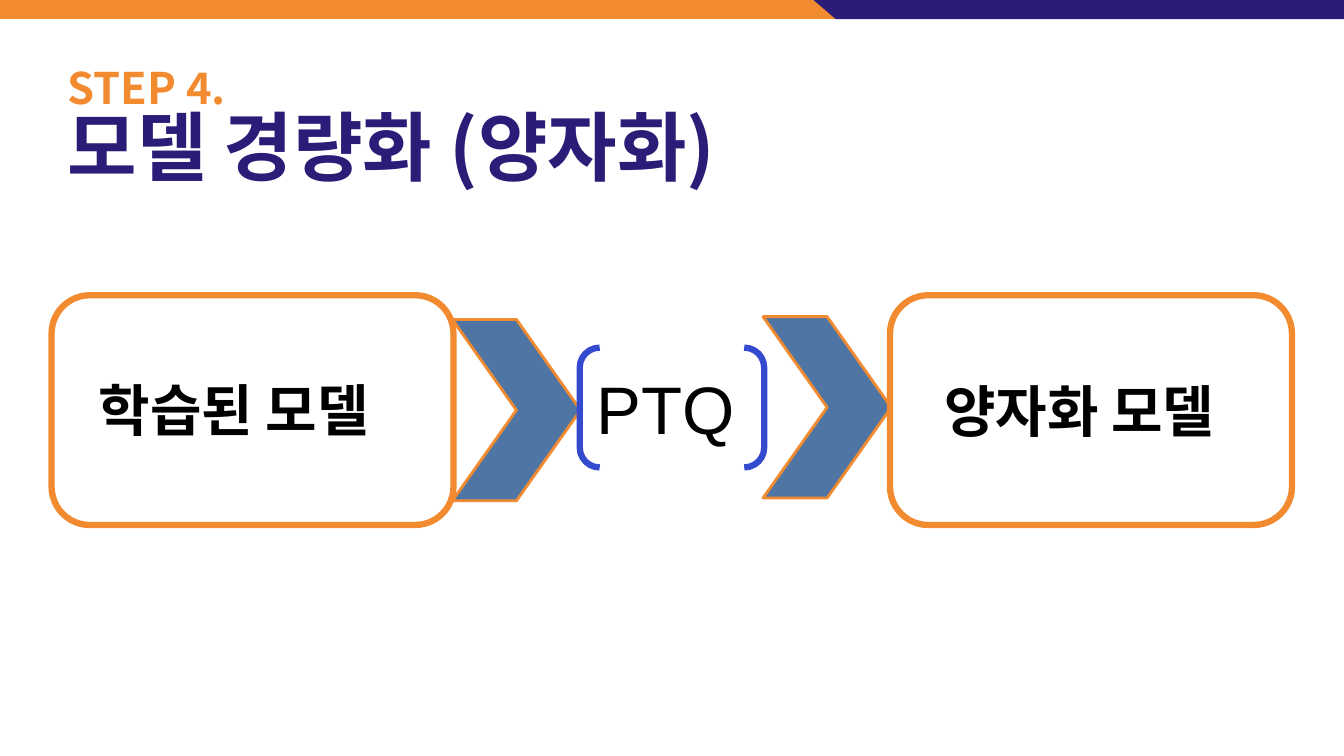
from dataclasses import dataclass
from typing import Optional

from pptx import Presentation
from pptx.dml.color import RGBColor
from pptx.enum.shapes import MSO_SHAPE as Preset
from pptx.enum.text import MSO_ANCHOR as Anchor, MSO_AUTO_SIZE as AutoSize, PP_ALIGN as Align
from pptx.util import Cm, Pt


@dataclass(frozen=True)
class Theme:
    orange: RGBColor = RGBColor(0xF2, 0x8B, 0x30)
    navy: RGBColor = RGBColor(0x29, 0x1D, 0x77)
    steel: RGBColor = RGBColor(0x4E, 0x75, 0xA3)
    blue: RGBColor = RGBColor(0x35, 0x4B, 0xCF)
    white: RGBColor = RGBColor(0xFF, 0xFF, 0xFF)
    black: RGBColor = RGBColor(0, 0, 0)
    title_font: str = "Noto Sans CJK KR"
    body_font: str = "Arial"
    step_size: float = 31
    title_size: float = 54
    model_size: float = 40
    method_size: float = 48
    thin_line: float = 2
    thick_line: float = 4.5


THEME = Theme()
SLIDE_WIDTH, SLIDE_HEIGHT = 33.87, 19.05
BAND_HEIGHT = 0.48


@dataclass(frozen=True)
class Block:
    """A preset shape; lengths in centimetres."""
    preset: Preset
    left: float
    top: float
    width: float
    height: float
    fill: Optional[RGBColor] = None
    line: Optional[RGBColor] = None
    line_width: float = THEME.thick_line


@dataclass(frozen=True)
class Label:
    """A line of text; lengths in centimetres."""
    text: str
    left: float
    top: float
    width: float
    height: float
    size: float = THEME.model_size
    bold: bool = True


def chevron(left: float, top: float) -> Block:
    return Block(Preset.CHEVRON, left, top, 3.23, 4.57, THEME.steel, THEME.orange, THEME.thin_line)


def model_box(left: float) -> Block:
    return Block(Preset.ROUNDED_RECTANGLE, left, 7.44, 10.13, 5.79, THEME.white, THEME.orange)


BLOCKS = [
    chevron(11.4, 8.05),
    chevron(19.23, 7.98),
    model_box(1.3),
    model_box(22.43),
    Block(Preset.DOUBLE_BRACKET, 14.61, 8.76, 4.65, 3.02, line=THEME.blue),
]
LABELS = [
    Label("학습된 모델", 2.24, 9.35, 8.61, 1.96),
    Label("양자화 모델", 23.55, 9.37, 8.53, 1.96),
    Label("PTQ", 14.78, 9.14, 4.17, 2.31, THEME.method_size, False),
]


def draw_block(slide, block: Block) -> None:
    shape = slide.shapes.add_shape(
        block.preset, Cm(block.left), Cm(block.top), Cm(block.width), Cm(block.height))
    shape.shadow.inherit = False
    if block.fill is None:
        shape.fill.background()
    else:
        shape.fill.solid()
        shape.fill.fore_color.rgb = block.fill
    if block.line is None:
        shape.line.fill.background()
    else:
        shape.line.color.rgb = block.line
        shape.line.width = Pt(block.line_width)


def draw_label(slide, label: Label) -> None:
    box = slide.shapes.add_textbox(
        Cm(label.left), Cm(label.top), Cm(label.width), Cm(label.height))
    frame = box.text_frame
    frame.word_wrap = True
    frame.auto_size = AutoSize.SHAPE_TO_FIT_TEXT
    paragraph = frame.paragraphs[0]
    paragraph.text = label.text
    font = paragraph.font
    font.name, font.size, font.bold = THEME.body_font, Pt(label.size), label.bold
    font.color.rgb = THEME.black


def draw_band(slide) -> None:
    """Orange strip along the top, with a slanted navy part at the right."""
    draw_block(slide, Block(Preset.RECTANGLE, 0, 0, SLIDE_WIDTH, BAND_HEIGHT, THEME.orange))
    builder = slide.shapes.build_freeform(Cm(20.5), Cm(0))
    corners = [(SLIDE_WIDTH, 0), (SLIDE_WIDTH, BAND_HEIGHT), (21.06, BAND_HEIGHT)]
    builder.add_line_segments([(Cm(x), Cm(y)) for x, y in corners], close=True)
    navy_part = builder.convert_to_shape()
    navy_part.shadow.inherit = False
    navy_part.fill.solid()
    navy_part.fill.fore_color.rgb = THEME.navy
    navy_part.line.fill.background()


def write_title(slide) -> None:
    title = slide.shapes.title
    title.left, title.top, title.width, title.height = Cm(1.45), Cm(-1.7), Cm(25.4), Cm(6.63)
    frame = title.text_frame
    frame.word_wrap = True
    frame.auto_size = AutoSize.NONE
    frame.vertical_anchor = Anchor.BOTTOM
    paragraph = frame.paragraphs[0]
    paragraph.alignment = Align.LEFT
    paragraph.line_spacing = 0.85
    paragraph.font.name, paragraph.font.bold = THEME.title_font, True
    step = paragraph.add_run()
    step.text = "STEP 4."
    step.font.size = Pt(THEME.step_size)
    step.font.color.rgb = THEME.orange
    paragraph.add_line_break()
    topic = paragraph.add_run()
    topic.text = "모델 경량화 (양자화)"
    topic.font.size = Pt(THEME.title_size)
    topic.font.color.rgb = THEME.navy


def main() -> None:
    presentation = Presentation()
    presentation.slide_width, presentation.slide_height = Cm(SLIDE_WIDTH), Cm(SLIDE_HEIGHT)
    slide = presentation.slides.add_slide(presentation.slide_layouts[5])
    write_title(slide)
    draw_band(slide)
    for block in BLOCKS:
        draw_block(slide, block)
    for label in LABELS:
        draw_label(slide, label)
    presentation.save("out.pptx")


if __name__ == "__main__":
    main()
